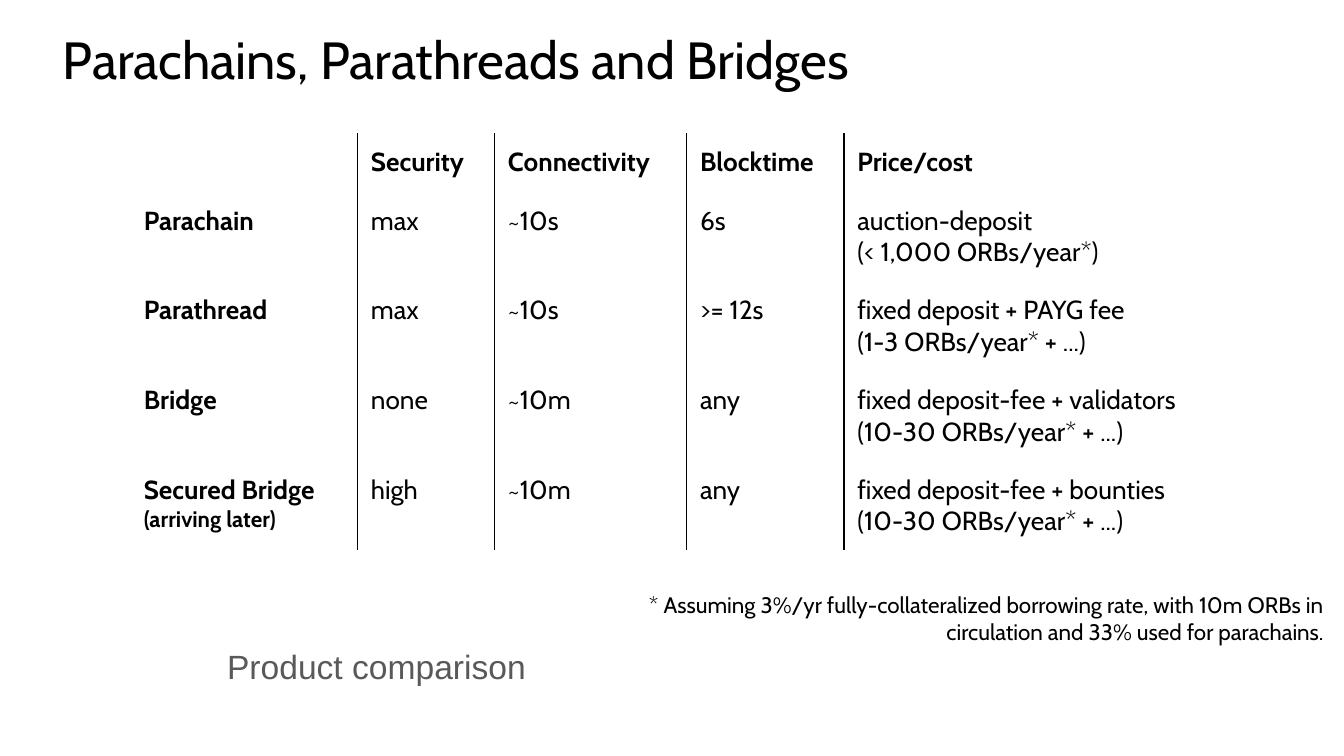
from lxml.etree import SubElement
from pptx import Presentation
from pptx.dml.color import RGBColor
from pptx.enum.text import MSO_ANCHOR, PP_ALIGN
from pptx.oxml.ns import qn
from pptx.util import Inches, Pt

BLACK = RGBColor(0x00, 0x00, 0x00)
GRAY = RGBColor(0x59, 0x59, 0x59)

PAD = 0.1
TABLE_SIZE = 14
COLUMNS = [1.69, 1.02, 1.43, 1.17, 2.88]
HEIGHTS = [0.41, 0.4, 0.4, 0.4, 0.67]  # minimums, rows grow with their text
ROWS = [
    ["", "Security", "Connectivity", "Blocktime", "Price/cost"],
    ["Parachain", "max", "~10s", "6s",
     "auction-deposit\n(< 1,000 ORBs/year*)"],
    ["Parathread", "max", "~10s", ">= 12s",
     "fixed deposit + PAYG fee\n(1-3 ORBs/year* + ...)"],
    ["Bridge", "none", "~10m", "any",
     "fixed deposit-fee + validators\n(10-30 ORBs/year* + ...)"],
    ["Secured Bridge ", "high", "~10m", "any",
     "fixed deposit-fee + bounties\n(10-30 ORBs/year* + ...)"],
]
LATER_NOTE = "(arriving later)"


def add_run(p, text, size, color=BLACK, bold=False, name="Cabin"):
    r = p.add_run()
    r.text = text
    for key, value in {"size": Pt(size), "bold": bold, "name": name}.items():
        setattr(r.font, key, value)
    r.font.color.rgb = color


def set_margins(target):
    for side in ("left", "right", "top", "bottom"):
        setattr(target, f"margin_{side}", Inches(PAD))


def add_text(s, box, text, size, anchor=MSO_ANCHOR.TOP, align=PP_ALIGN.LEFT,
             indent=0, **font):
    tf = s.shapes.add_textbox(*map(Inches, box)).text_frame
    set_margins(tf)
    tf.margin_left = Inches(PAD + indent)
    tf.word_wrap = True
    tf.vertical_anchor = anchor
    p = tf.paragraphs[0]
    p.alignment = align
    add_run(p, text, size, **font)


def set_borders(cell, visible):
    """Draw the sides named in visible and clear the others."""
    tc_pr = cell._tc.get_or_add_tcPr()
    for side in "LRTB":
        ln = SubElement(tc_pr, qn(f"a:ln{side}"), w=str(Pt(0.75)))
        if side in visible:
            fill = SubElement(ln, qn("a:solidFill"))
            SubElement(fill, qn("a:srgbClr"), val=str(BLACK))
        else:
            SubElement(ln, qn("a:noFill"))


def fill_cell(cell, text, bold):
    set_margins(cell)
    tf = cell.text_frame
    if not text:
        # The size of an empty cell still sets its row height
        SubElement(tf.paragraphs[0]._p, qn("a:endParaRPr"),
                   sz=str(TABLE_SIZE * 100))
        return
    for i, line in enumerate(text.split("\n")):
        p = tf.add_paragraph() if i else tf.paragraphs[0]
        add_run(p, line, TABLE_SIZE, bold=bold)


def add_comparison(s, left, top, height):
    box = (left, top, sum(COLUMNS), height)
    frame = s.shapes.add_table(len(ROWS), len(COLUMNS), *map(Inches, box))
    table = frame.table
    table.first_row = table.horz_banding = False
    for column, width in zip(table.columns, COLUMNS):
        column.width = Inches(width)
    for row, row_height in zip(table.rows, HEIGHTS):
        row.height = Inches(row_height)
    frame.height = Inches(height)

    last = len(COLUMNS) - 1
    for i, texts in enumerate(ROWS):
        for j, text in enumerate(texts):
            cell = table.cell(i, j)
            # Rules run only between columns
            set_borders(cell, ("L" if j else "") + ("R" if j < last else ""))
            cell.fill.background()
            fill_cell(cell, text, bold=i == 0 or j == 0)

    # Smaller remark after the last row label
    label = table.cell(len(ROWS) - 1, 0).text_frame.paragraphs[0]
    add_run(label, LATER_NOTE, 12, bold=True)


def main():
    prs = Presentation()
    prs.slide_width = Inches(10)
    prs.slide_height = prs.slide_width * 9 // 16
    s = prs.slides.add_slide(prs.slide_layouts[6])

    # Caption
    add_text(s, (0.34, 4.63, 6.56, 0.66), "Product comparison", 18,
             anchor=MSO_ANCHOR.MIDDLE, indent=1.25, color=GRAY, name="Arial")
    # Comparison table
    add_comparison(s, 0.97, 0.99, 3.1)
    # Footnote
    add_text(s, (4.43, 4.3, 5.52, 0.5),
             "* Assuming 3%/yr fully-collateralized borrowing rate, with 10m "
             "ORBs in circulation and 33% used for parachains.", 12,
             align=PP_ALIGN.RIGHT)
    # Title
    add_text(s, (0.37, 0.1, 8.98, 0.66),
             "Parachains, Parathreads and Bridges", 28)

    prs.save("out.pptx")


if __name__ == "__main__":
    main()
